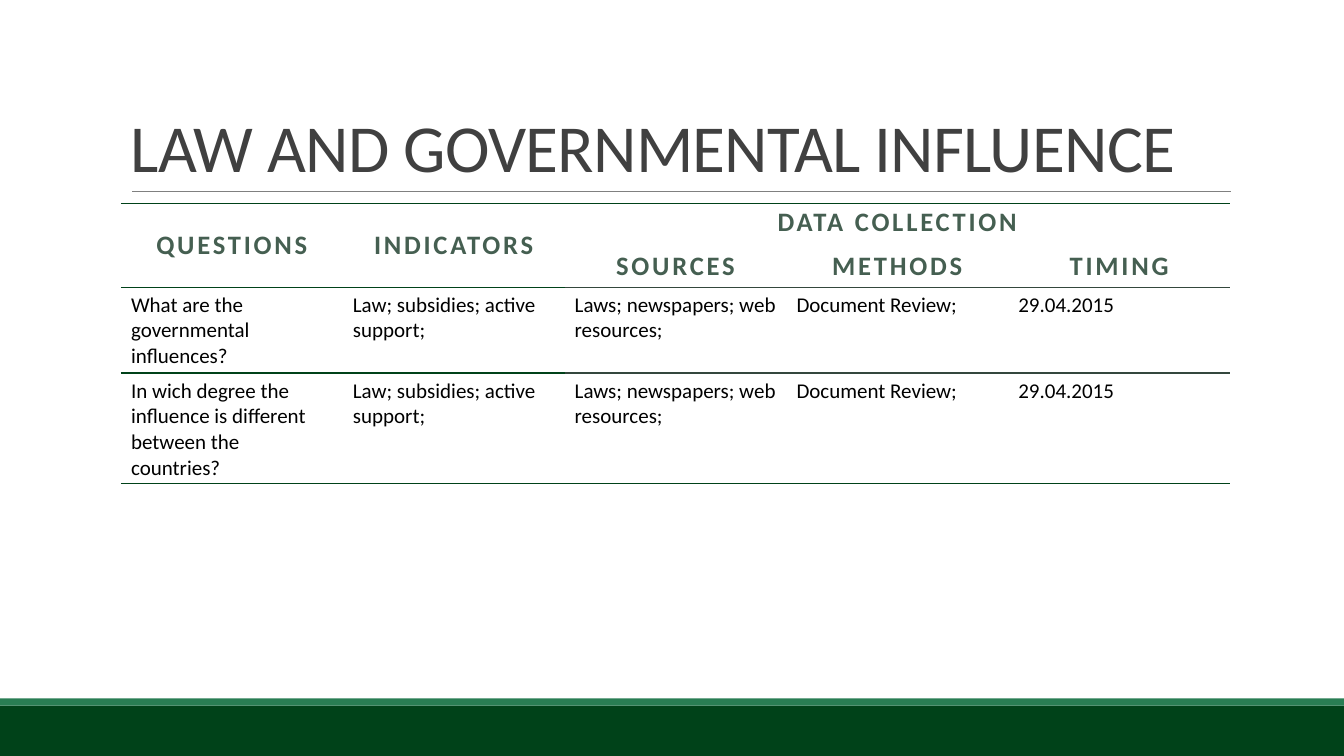
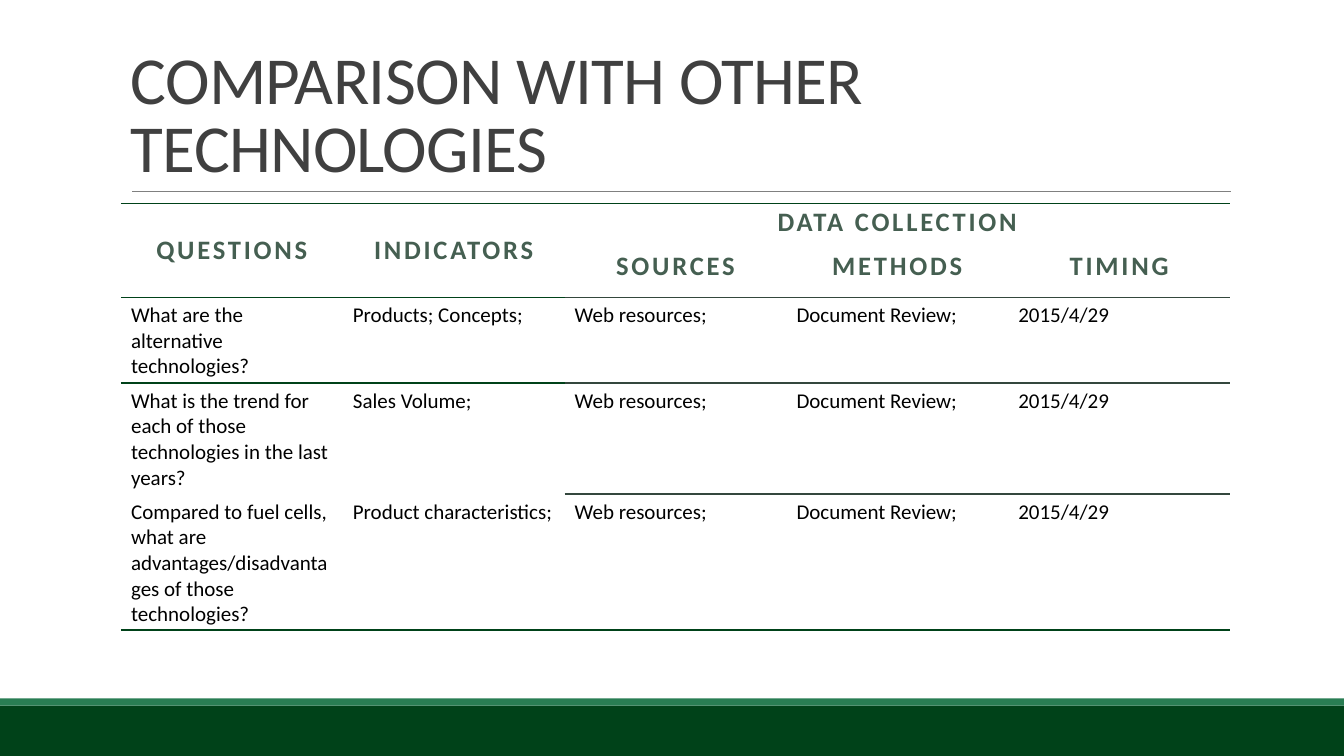
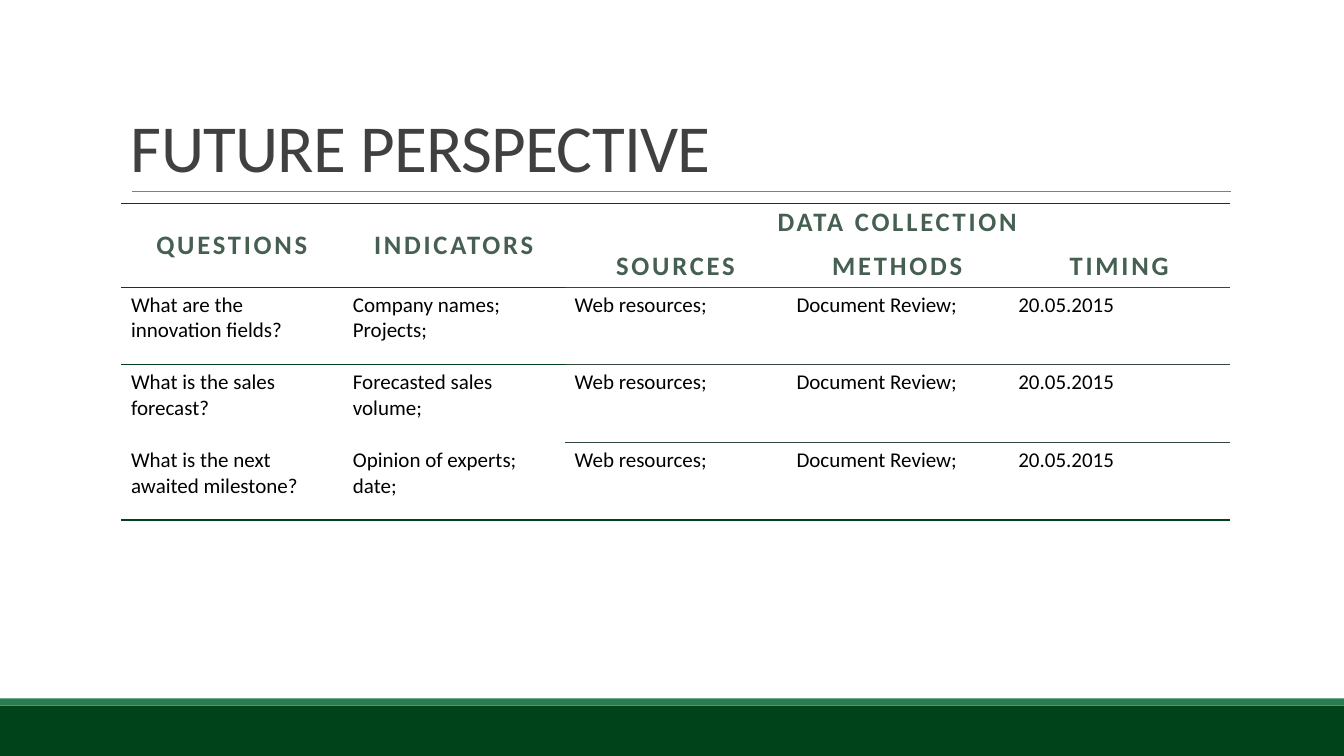
from dataclasses import dataclass

from lxml.etree import SubElement
from pptx import Presentation
from pptx.dml.color import RGBColor as RGB
from pptx.enum.shapes import MSO_CONNECTOR as Connector, MSO_SHAPE as Shape
from pptx.enum.text import MSO_ANCHOR as Anchor, PP_ALIGN as Align
from pptx.oxml.ns import qn
from pptx.util import Inches, Pt


@dataclass(frozen=True)
class Theme:
    font: str = "Calibri"
    forest: str = "004219"
    green: str = "297D53"
    moss: str = "34473D"
    heading: str = "455F51"
    title: str = "404040"
    rule: str = "808080"
    body: str = "000000"
    title_size: int = 48
    heading_size: int = 19
    body_size: int = 15
    border_width: int = 1
    plain_table: str = "{2D5ABB26-0587-4C30-8999-92F81FD0307C}"


theme = Theme()


def write_text(frame, text, size=theme.body_size, color=theme.body, bold=False,
               tracking=0, align=Align.LEFT, leading=1.0, before=0, after=0):
    para = frame.paragraphs[0]
    para.alignment = align
    para.line_spacing = leading
    para.space_before, para.space_after = Pt(before), Pt(after)
    span = para.add_run()
    span.text = text
    span.font.name, span.font.size, span.font.bold = theme.font, Pt(size), bold
    span.font.color.rgb = RGB.from_string(color)
    span._r.get_or_add_rPr().set("spc", str(round(tracking * 100)))


def add_border(cell, side, color):
    line = SubElement(cell._tc.get_or_add_tcPr(), qn(f"a:ln{side}"),
                      w=str(Pt(theme.border_width)))
    fill = SubElement(line, qn("a:solidFill"))
    SubElement(fill, qn("a:srgbClr"), val=color)


# Content: title, second header row height, data row height, inner rule, data rows
REVIEW = "Document Review;"
LAW = ["Law; subsidies; active support;", "Laws; newspapers; web resources;",
       REVIEW, "29.04.2015"]
WEB_APRIL = ["Web resources;", REVIEW, "2015/4/29"]
WEB_MAY = ["Web resources;", REVIEW, "20.05.2015"]
slides = [
    ("LAW AND GOVERNMENTAL INFLUENCE", 0.42, 0.85, False, [
        ["What are the governmental influences?", *LAW],
        ["In wich degree the influence is different between the countries?", *LAW],
    ]),
    ("COMPARISON WITH OTHER TECHNOLOGIES", 0.52, 0.85, True, [
        ["What are the alternative technologies?", "Products; Concepts;", *WEB_APRIL],
        ["What is the trend for each of those technologies in the last years?",
         "Sales Volume;", *WEB_APRIL],
        ["Compared to fuel cells, what are advantages/disadvantages of those "
         "technologies?", "Product characteristics;", *WEB_APRIL],
    ]),
    ("FUTURE PERSPECTIVE", 0.42, 0.77, True, [
        ["What are the innovation fields?", "Company names; Projects;", *WEB_MAY],
        ["What is the sales forecast?", "Forecasted sales volume;", *WEB_MAY],
        ["What is the next awaited milestone?", "Opinion of experts; date;", *WEB_MAY],
    ]),
]
headings = [["QUESTIONS", "INDICATORS", "DATA COLLECTION", "", ""],
            ["", "", "SOURCES", "METHODS", "TIMING"]]
bands = [(7, 0.5, theme.forest), (6.93, 0.07, theme.green)]
COLUMNS = 5
FIRST_COLLECTION = 2  # first column under DATA COLLECTION

deck = Presentation()
deck.slide_width, deck.slide_height = Inches(13.33), Inches(7.5)

for title, subhead_height, row_height, inner_rule, rows in slides:
    page = deck.slides.add_slide(deck.slide_layouts[6])

    # Footer bands
    for top, height, color in bands:
        band = page.shapes.add_shape(Shape.RECTANGLE, 0, Inches(top),
                                     deck.slide_width, Inches(height))
        band.shadow.inherit = False
        band.fill.solid()
        band.fill.fore_color.rgb = RGB.from_string(color)
        band.line.fill.background()

    # Title and its rule
    rule = page.shapes.add_connector(Connector.STRAIGHT, Inches(1.31), Inches(1.9),
                                     Inches(12.21), Inches(1.9))
    rule.line.color.rgb = RGB.from_string(theme.rule)
    rule.line.width = Pt(0.5)
    SubElement(rule._element.spPr, qn("a:effectLst"))
    box = page.shapes.add_textbox(Inches(1.2), Inches(0.31), Inches(11), Inches(1.59))
    box.text_frame.word_wrap = True
    box.text_frame.vertical_anchor = Anchor.BOTTOM
    write_text(box.text_frame, title, size=theme.title_size, color=theme.title,
               tracking=-0.5, leading=0.85)

    # Table grid
    heights = [0.41, subhead_height] + [row_height] * len(rows)
    table = page.shapes.add_table(len(heights), COLUMNS, Inches(1.2), Inches(2.02),
                                  Inches(11), Inches(sum(heights))).table
    table.first_row = table.horz_banding = False
    table._tbl.tblPr.find(qn("a:tableStyleId")).text = theme.plain_table
    for row, height in zip(table.rows, heights):
        row.height = Inches(height)
    for column in range(FIRST_COLLECTION):
        table.cell(0, column).merge(table.cell(1, column))
    table.cell(0, FIRST_COLLECTION).merge(table.cell(0, COLUMNS - 1))

    # Cell text
    for r, texts in enumerate(headings + rows):
        for c, text in enumerate(texts):
            cell = table.cell(r, c)
            if not text:
                continue
            if r >= len(headings):
                write_text(cell.text_frame, text)
                continue
            spacing = dict(leading=0.9, before=12, after=2) if r == 0 else {}
            write_text(cell.text_frame, text, size=theme.heading_size,
                       color=theme.heading, bold=True, tracking=2,
                       align=Align.CENTER, **spacing)
            if cell.is_merge_origin and c < FIRST_COLLECTION:
                cell.vertical_anchor = Anchor.MIDDLE

    # Cell borders: each line is set on the cells above and below it
    last = len(heights) - 1
    for c in range(COLUMNS):
        collection = c >= FIRST_COLLECTION
        lines = {0: theme.forest, 2: theme.moss if collection else theme.forest,
                 last + 1: theme.forest}
        if inner_rule and collection:
            lines[3] = theme.moss
        for r in range(last + 1):
            cell = table.cell(r, c)
            bottom = r + (1 if collection or r else 2)
            for side, edge in (("T", r), ("B", bottom)):
                if edge in lines:
                    add_border(cell, side, lines[edge])
            cell.fill.background()

deck.save("out.pptx")
